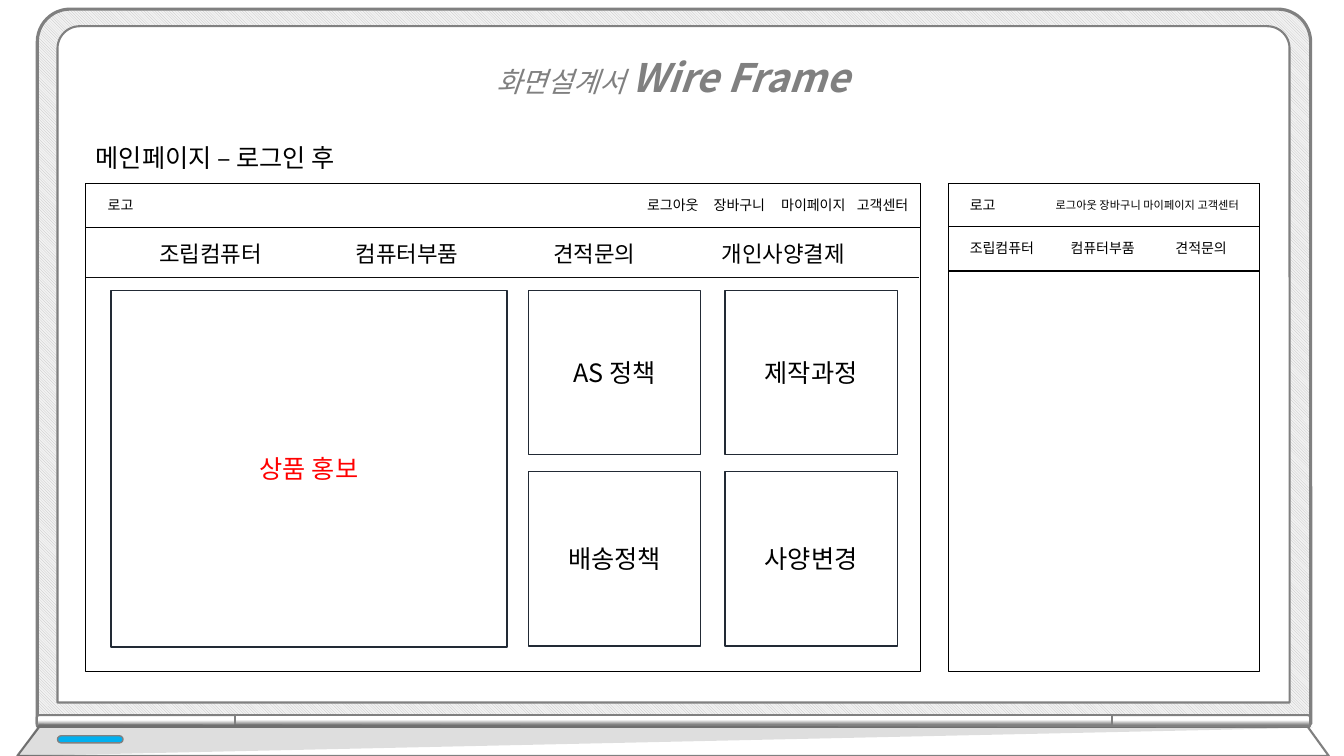
"""Build the wireframe slide of the main page after login, framed by a laptop."""
import lxml.etree
import pptx
import pptx.dml.color
import pptx.enum.dml
import pptx.enum.shapes
import pptx.enum.text
import pptx.oxml.ns
import pptx.util

Inches = pptx.util.Inches
Pt = pptx.util.Pt
RGBColor = pptx.dml.color.RGBColor
SHAPE = pptx.enum.shapes.MSO_SHAPE
ALIGN = pptx.enum.text.PP_ALIGN
qn = pptx.oxml.ns.qn

FONT = "Noto Sans CJK KR"
BLACK = RGBColor(0x00, 0x00, 0x00)
WHITE = RGBColor(0xFF, 0xFF, 0xFF)
GRAY = RGBColor(0x80, 0x80, 0x80)
HATCH = RGBColor(0xBF, 0xBF, 0xBF)
PALE = RGBColor(0xF2, 0xF2, 0xF2)
BLUE = RGBColor(0x00, 0xB0, 0xF0)
NAVY = RGBColor(0x22, 0x2A, 0x35)
RED = RGBColor(0xFF, 0x00, 0x00)
RULE = RGBColor(0x0D, 0x0D, 0x0D)


def style_shape(shape, fill, line, weight):
    """Set a solid fill and an outline, without a shadow."""
    shape.shadow.inherit = False
    shape.fill.solid()
    shape.fill.fore_color.rgb = fill
    if line is None:
        shape.line.fill.background()
    else:
        shape.line.color.rgb = line
        shape.line.width = Pt(weight)


def add_panel(shapes, place, line=BLACK, weight=1, fill=WHITE,
              kind=SHAPE.RECTANGLE, corners=()):
    """Add a preset shape at left, top, width, height."""
    panel = shapes.add_shape(kind, *map(Inches, place))
    style_shape(panel, fill, line, weight)
    for index, corner in enumerate(corners):
        panel.adjustments[index] = corner
    return panel


def add_outline(shapes, points, fill, line=None, weight=1):
    """Add a closed polygon through the points."""
    corners = [(Inches(x), Inches(y)) for x, y in points]
    builder = shapes.build_freeform(*corners[0])
    builder.add_line_segments(corners[1:], close=True)
    outline = builder.convert_to_shape()
    style_shape(outline, fill, line, weight)
    return outline


def format_span(span, size, color):
    """Set the font of a run for Latin and Korean letters."""
    span.font.name = FONT
    span.font.size = Pt(size)
    span.font.color.rgb = color
    east_asian = lxml.etree.SubElement(span.font._element, qn("a:ea"))
    east_asian.set("typeface", FONT)


def add_label(page, place, text, size, align=ALIGN.LEFT, tabs=()):
    """Add a one-line text box, with optional left tab stops."""
    box = page.shapes.add_textbox(*map(Inches, place))
    box.text_frame.word_wrap = True
    box.text_frame.auto_size = pptx.enum.text.MSO_AUTO_SIZE.SHAPE_TO_FIT_TEXT
    para = box.text_frame.paragraphs[0]
    para.text = text
    para.alignment = align
    if tabs:
        stops = lxml.etree.SubElement(para._p.get_or_add_pPr(), qn("a:tabLst"))
        for tab in tabs:
            stop = lxml.etree.SubElement(stops, qn("a:tab"))
            stop.set("pos", str(Inches(tab)))
            stop.set("algn", "l")
    for span in para.runs:
        format_span(span, size, BLACK)
    return box


def add_card(page, place, text, color=BLACK):
    """Add a content block with a centred caption."""
    card = add_panel(page.shapes, place, NAVY)
    card.text_frame.vertical_anchor = pptx.enum.text.MSO_ANCHOR.MIDDLE
    para = card.text_frame.paragraphs[0]
    para.text = text
    para.alignment = ALIGN.CENTER
    format_span(para.runs[0], 18, color)


def add_hinge(shapes, place, rotation, angle, corner):
    """Add a turned bar of the hinge with a gray to white gradient."""
    hinge = add_panel(shapes, place, GRAY, 1.5,
                      kind=SHAPE.ROUND_2_SAME_RECTANGLE, corners=(corner, 0))
    hinge.rotation = rotation
    hinge.fill.gradient()
    hinge.fill.gradient_angle = angle
    for stop, position, color in zip(hinge.fill.gradient_stops,
                                     (0.17, 0.59), (GRAY, WHITE)):
        stop.position = position
        stop.color.rgb = color


def add_laptop(page):
    """Add the laptop that frames the page."""
    parts = page.shapes.add_group_shape().shapes
    lid = add_panel(parts, (0.37, 0.09, 12.63, 7.09), GRAY, 2.25,
                    kind=SHAPE.ROUND_2_SAME_RECTANGLE, corners=(0.046, 0))
    lid.fill.patterned()
    lid.fill.pattern = pptx.enum.dml.MSO_PATTERN.LIGHT_DOWNWARD_DIAGONAL
    lid.fill.fore_color.rgb = HATCH
    lid.fill.back_color.rgb = PALE
    add_panel(parts, (0.57, 0.26, 12.22, 6.71), GRAY, 1.5,
              kind=SHAPE.ROUND_2_SAME_RECTANGLE, corners=(0.033, 0))
    add_hinge(parts, (1.29, 6.17, 0.12, 1.97), 270, 0, 0.193)
    add_hinge(parts, (11.95, 6.17, 0.12, 1.97), 90, 180, 0.193)
    add_hinge(parts, (6.62, 2.8, 0.12, 8.7), 270, 0, 0)
    add_outline(parts, [(0.39, 7.21), (12.97, 7.21), (13.18, 7.5), (0.17, 7.5)],
                WHITE, GRAY, 1.5)
    shade = add_outline(parts, [(0.39, 7.18), (0.17, 7.5), (13.02, 7.22)], BLACK)
    color = shade._element.spPr.find(qn("a:solidFill"))[0]
    lxml.etree.SubElement(color, qn("a:alpha")).set("val", "13000")
    add_panel(parts, (0.57, 7.3, 0.65, 0.07), GRAY, 1, BLUE,
              SHAPE.ROUNDED_RECTANGLE, (0.5,))


def add_rule(page, start, end):
    """Add a thin straight line."""
    rule = page.shapes.add_connector(pptx.enum.shapes.MSO_CONNECTOR.STRAIGHT,
                                     *map(Inches, start + end))
    rule.line.color.rgb = RULE
    rule.line.width = Pt(0.5)
    lxml.etree.SubElement(rule._element.spPr, qn("a:effectLst"))


def add_title(page):
    """Add the two-part slide title."""
    box = add_label(page, (3.67, 0.25, 6, 0.81), "화면설계서 ", 20, ALIGN.CENTER)
    para = box.text_frame.paragraphs[0]
    para.line_spacing = 1.5
    name = para.add_run()
    name.text = "Wire Frame"
    format_span(name, 28, GRAY)
    name.font.bold = True
    para.runs[0].font.color.rgb = GRAY
    for span in para.runs:
        span.font.italic = True


def add_desktop(page):
    """Add the desktop layout of the main page."""
    for height in (4.84, 0.44):
        add_panel(page.shapes, (0.85, 1.82, 8.28, height))
    add_label(page, (1.48, 2.33, 7.5, 0.37),
              "조립컴퓨터\t컴퓨터부품\t견적문의\t개인사양결제", 16,
              tabs=(1.95, 3.91, 5.58))
    add_label(page, (6.32, 1.9, 2.85, 0.27),
              "로그아웃\t장바구니\t마이페이지\t고객센터", 10,
              tabs=(0.66, 1.33, 2.08))
    add_label(page, (0.97, 1.9, 2.41, 0.27), "로고", 10)
    add_card(page, (1.1, 2.88, 3.93, 3.54), "상품 홍보", RED)
    columns = ((5.24, ("AS 정책", "배송정책")), (7.19, ("제작과정", "사양변경")))
    rows = ((2.88, 1.63), (4.68, 1.73))
    for left, captions in columns:
        for (top, height), caption in zip(rows, captions):
            add_card(page, (left, top, 1.71, height), caption)
    add_rule(page, (0.85, 2.75), (9.11, 2.75))


def add_mobile(page):
    """Add the mobile layout of the main page."""
    for top, height in ((1.82, 4.84), (1.82, 0.44), (2.25, 0.44)):
        add_panel(page.shapes, (9.41, top, 3.08, height))
    add_label(page, (9.52, 1.9, 0.5, 0.27), "로고", 10)
    add_label(page, (10.03, 1.92, 2.36, 0.24),
              "로그아웃 장바구니 마이페이지 고객센터", 8, ALIGN.RIGHT)
    add_label(page, (9.52, 2.33, 2.86, 0.27),
              "조립컴퓨터\t컴퓨터부품\t견적문의", 10, tabs=(1, 2.04))


def main():
    """Build the deck and save it."""
    deck = pptx.Presentation()
    deck.slide_width, deck.slide_height = Inches(13.33), Inches(7.5)
    page = deck.slides.add_slide(deck.slide_layouts[6])
    add_laptop(page)
    add_desktop(page)
    add_label(page, (0.85, 1.36, 3.11, 0.4), "메인페이지 – 로그인 후", 18)
    add_title(page)
    add_mobile(page)
    deck.save("out.pptx")


if __name__ == "__main__":
    main()
